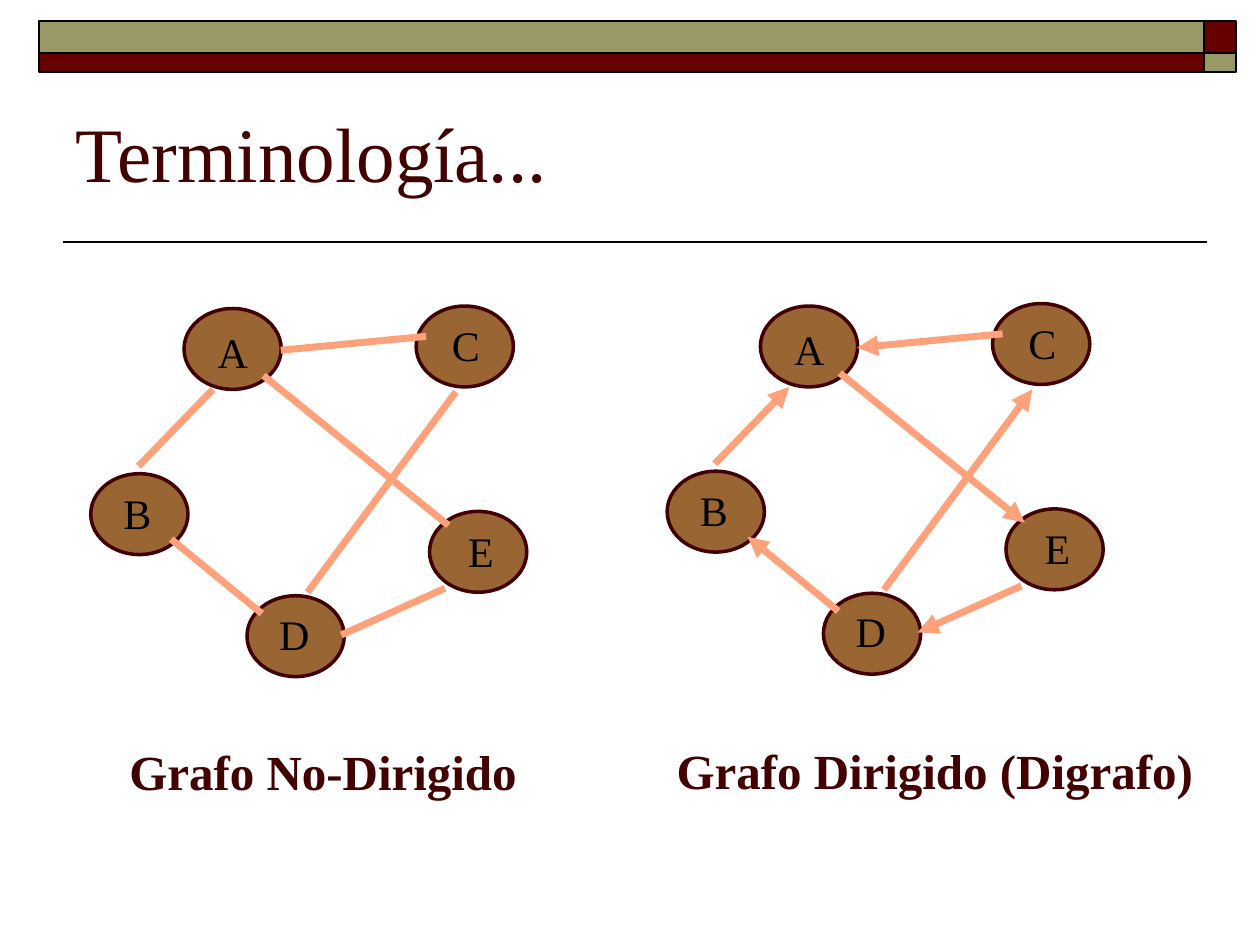
"""Build a slide that compares an undirected graph with a directed one."""
from dataclasses import dataclass

from lxml.etree import SubElement
from pptx import Presentation
from pptx.dml.color import RGBColor
from pptx.enum.shapes import MSO_CONNECTOR, MSO_SHAPE
from pptx.enum.text import MSO_ANCHOR, MSO_AUTO_SIZE, PP_ALIGN
from pptx.oxml.ns import qn
from pptx.util import Cm, Pt

FONT = "Times New Roman"
COLORS = {
    "black": "000000",
    "maroon": "660000",
    "olive": "999966",
    "dark": "420000",
    "brown": "996633",
    "salmon": "FFA27C",
}
NODE_WIDTH, NODE_HEIGHT = 1.96, 1.63
LABEL_HEIGHT, CAPTION_HEIGHT = 1.27, 1.42


@dataclass(frozen=True)
class Node:
    name: str
    left: float
    top: float
    label_left: float
    label_top: float
    label_width: float


@dataclass(frozen=True)
class Edge:
    start: tuple[float, float]
    end: tuple[float, float]


@dataclass(frozen=True)
class Graph:
    caption: str
    caption_left: float
    caption_top: float
    caption_width: float
    shift_x: float
    shift_y: float
    directed: bool


NODES = [
    Node("A", 3.71, 6.22, 4.14, 6.45, 1.12),
    Node("B", 1.83, 9.55, 2.24, 9.7, 1.07),
    Node("D", 4.98, 12.01, 5.38, 12.14, 1.12),
    Node("E", 8.66, 10.31, 9.19, 10.46, 1.02),
    Node("C", 8.39, 6.17, 8.86, 6.32, 1.07),
]
EDGES = [
    Edge((2.79, 9.4), (4.29, 7.85)),
    Edge((8.59, 6.78), (5.66, 7.06)),
    Edge((5.31, 7.57), (9.04, 10.59)),
    Edge((5.28, 12.37), (3.45, 10.87)),
    Edge((6.2, 11.94), (9.19, 7.9)),
    Edge((8.97, 11.86), (6.88, 12.8)),
]
GRAPHS = [
    Graph("Grafo No-Dirigido", 2.36, 14.83, 8.33, 0, 0, False),
    Graph("Grafo Dirigido (Digrafo)", 13.39, 14.81, 10.92, 11.62, -0.05, True),
]


def color(name: str) -> RGBColor:
    return RGBColor.from_string(COLORS[name])


def write(frame, text: str, *, size: float, ink: str, bold: bool = False) -> None:
    paragraph = frame.paragraphs[0]
    paragraph.alignment = PP_ALIGN.LEFT
    span = paragraph.add_run()
    span.text = text
    span.font.name = FONT
    span.font.size = Pt(size)
    span.font.bold = bold
    span.font.color.rgb = color(ink)


def add_text(page, text: str, left: float, top: float, width: float, height: float, **style) -> None:
    box = page.shapes.add_textbox(Cm(left), Cm(top), Cm(width), Cm(height))
    box.text_frame.word_wrap = False
    box.text_frame.auto_size = MSO_AUTO_SIZE.SHAPE_TO_FIT_TEXT
    write(box.text_frame, text, **style)


def add_figure(page, kind: MSO_SHAPE, left: float, top: float, width: float, height: float,
               *, fill: str, line: str, weight: float) -> None:
    figure = page.shapes.add_shape(kind, Cm(left), Cm(top), Cm(width), Cm(height))
    figure.shadow.inherit = False
    figure.fill.solid()
    figure.fill.fore_color.rgb = color(fill)
    figure.line.color.rgb = color(line)
    figure.line.width = Pt(weight)


def add_line(page, start: tuple[float, float], end: tuple[float, float],
             *, ink: str, weight: float, arrow: bool = False) -> None:
    line = page.shapes.add_connector(
        MSO_CONNECTOR.STRAIGHT, Cm(start[0]), Cm(start[1]), Cm(end[0]), Cm(end[1]))
    line.line.color.rgb = color(ink)
    line.line.width = Pt(weight)
    if arrow:
        SubElement(line.line._get_or_add_ln(), qn("a:tailEnd"), type="triangle")
    SubElement(line._element.spPr, qn("a:effectLst"))


def add_header(page) -> None:
    add_line(page, (24.33, 4.88), (1.27, 4.88), ink="black", weight=1)
    columns = [(0.79, 23.49), (24.28, 0.64)]
    rows = [(0.43, 0.64, ("olive", "maroon")), (1.07, 0.38, ("maroon", "olive"))]
    for top, height, fills in rows:
        for (left, width), fill in zip(columns, fills):
            add_figure(page, MSO_SHAPE.RECTANGLE, left, top, width, height,
                       fill=fill, line="black", weight=1)


def add_title(page, text: str) -> None:
    title = page.shapes.title
    title.left, title.top, title.width, title.height = Cm(1.27), Cm(1.47), Cm(22.86), Cm(3.18)
    title.text_frame.auto_size = MSO_AUTO_SIZE.NONE
    title.text_frame.vertical_anchor = MSO_ANCHOR.MIDDLE
    write(title.text_frame, text, size=44, ink="dark")


def add_graph(page, graph: Graph) -> None:
    def shifted(x: float, y: float) -> tuple[float, float]:
        return x + graph.shift_x, y + graph.shift_y

    for node in NODES:
        add_figure(page, MSO_SHAPE.OVAL, *shifted(node.left, node.top), NODE_WIDTH, NODE_HEIGHT,
                   fill="brown", line="dark", weight=2)
    for edge in EDGES:
        add_line(page, shifted(*edge.start), shifted(*edge.end),
                 ink="salmon", weight=4, arrow=graph.directed)
    for node in NODES:
        add_text(page, node.name, *shifted(node.label_left, node.label_top),
                 node.label_width, LABEL_HEIGHT, size=24, ink="black")
    add_text(page, graph.caption, graph.caption_left, graph.caption_top,
             graph.caption_width, CAPTION_HEIGHT, size=28, ink="dark", bold=True)


def main() -> None:
    deck = Presentation()
    deck.slide_width, deck.slide_height = Cm(25.4), Cm(19.05)
    page = deck.slides.add_slide(deck.slide_layouts[5])
    add_header(page)
    add_title(page, "Terminología...")
    for graph in GRAPHS:
        add_graph(page, graph)
    deck.save("out.pptx")


if __name__ == "__main__":
    main()
